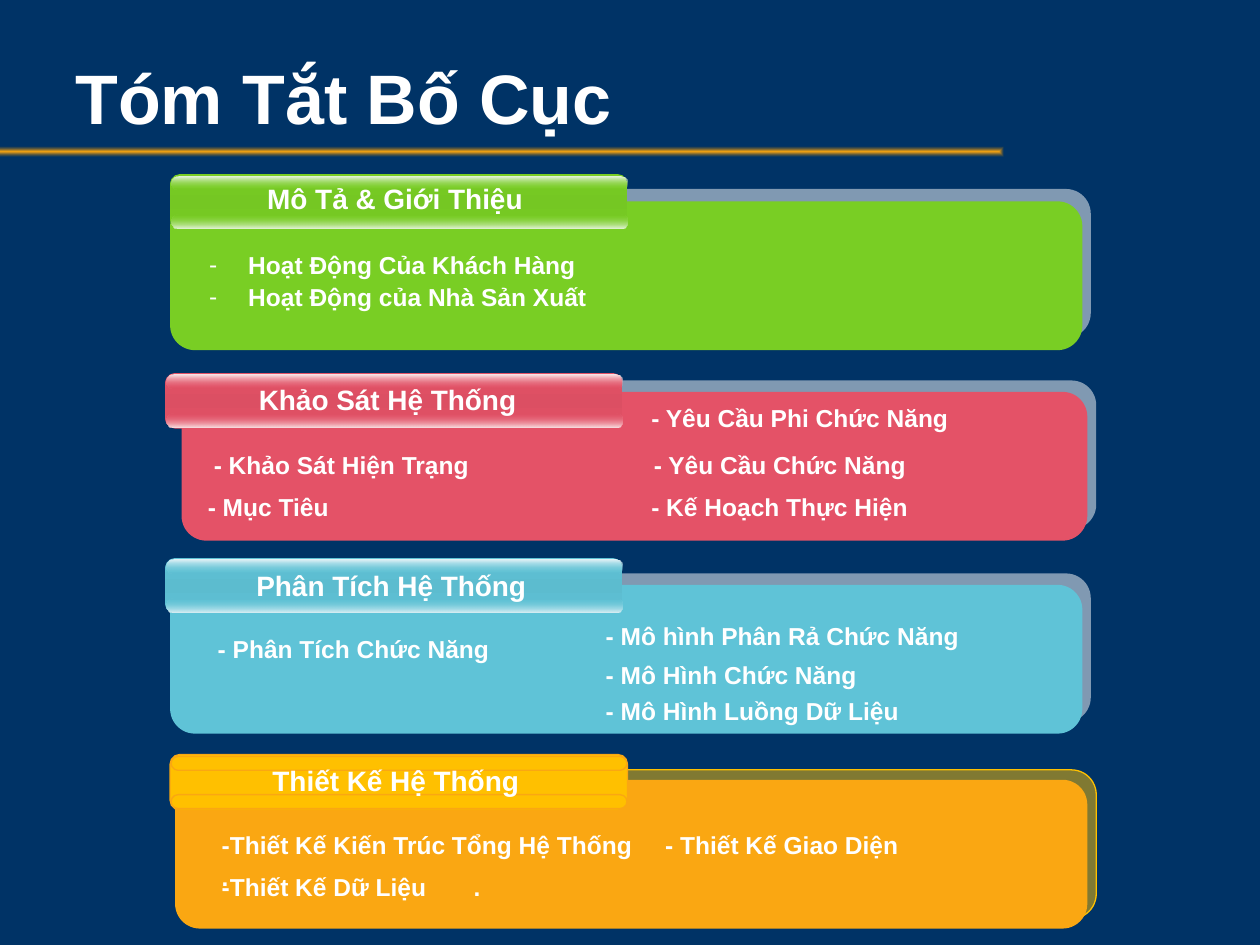
from pptx import Presentation
from pptx.dml.color import RGBColor
from pptx.enum.shapes import MSO_SHAPE
from pptx.enum.text import MSO_ANCHOR, MSO_AUTO_SIZE, PP_ALIGN
from pptx.oxml import parse_xml
from pptx.oxml.ns import nsdecls, qn
from pptx.util import Cm, Pt

WHITE = "FFFFFF"
PANEL_HEIGHT = 3
SHADOW_WIDTH = 18.26
ITEM_HEIGHT = 0.91
HEADING_FORMAT = {"alignment": PP_ALIGN.CENTER, "space_before": Pt(8)}
ITEM_FORMAT = {"line_spacing": 1.1, "space_before": Pt(0)}

# Boxes are (left, top, width) in cm; items are (text, left, top, width).
SECTIONS = [
    {
        "heading": ("Mô Tả & Giới Thiệu", 5.02, 3.53, 5.89),
        "color": "79CE24", "middle": "75C723", "shine": ("EAF5E5", "ECF6E8"),
        "shadow": (3.73, 3.81), "panel": (3.43, 4.06, 18.39), "tab": (3.43, 3.51),
        "items": [],
    },
    {
        "heading": ("Khảo Sát Hệ Thống", 4.93, 7.59, 5.77),
        "color": "E45267", "middle": "DC4F63", "shine": ("FBEEEF", "FAEAEB"),
        "shadow": (3.84, 7.67), "panel": (3.66, 7.9, 18.26), "tab": (3.33, 7.52),
        "items": [
            ("- Khảo Sát Hiện Trạng", 4.06, 8.89, 5.89),
            ("- Mục Tiêu", 3.94, 9.73, 5.89),
            ("- Yêu Cầu Phi Chức Năng", 12.88, 7.95, 8.48),
            ("- Yêu Cầu Chức Năng", 12.93, 8.89, 8.46),
            ("- Kế Hoạch Thực Hiện", 12.88, 9.73, 7.39),
        ],
    },
    {
        "heading": ("Phân Tích Hệ Thống", 4.88, 11.33, 6.02),
        "color": "5FC3D7", "middle": "5CBCCF", "shine": ("EBF5F8", "E4F2F6"),
        "shadow": (3.73, 11.56), "panel": (3.43, 11.79, 18.39), "tab": (3.33, 11.25),
        "items": [
            ("- Phân Tích Chức Năng", 4.14, 12.6, 6.22),
            ("- Mô hình Phân Rả Chức Năng", 11.96, 12.34, 9.86),
            ("- Mô Hình Chức Năng", 11.96, 13.13, 6.22),
            ("- Mô Hình Luồng Dữ Liệu", 11.96, 13.84, 7.52),
        ],
    },
    {
        "heading": ("Thiết Kế Hệ Thống", 5.21, 15.27, 5.54),
        "color": "FAA712", "flat_tab": "FFC000",
        "shadow": (3.84, 15.52), "panel": (3.53, 15.72, 18.39), "tab": (3.43, 15.21),
        "items": [
            ("-Thiết Kế Kiến Trúc Tổng Hệ Thống\t.", 4.22, 16.54, 9.12),
            ("-Thiết Kế Dữ Liệu\t.", 4.22, 17.4, 9.12),
            ("- Thiết Kế Giao Diện", 13.16, 16.54, 9.12),
        ],
    },
]


def color(value):
    return RGBColor.from_string(value)


def apply_format(target, values):
    for name, value in values.items():
        setattr(target, name, value)


def place(shape, left, top, width, height):
    apply_format(shape, {"left": Cm(left), "top": Cm(top),
                         "width": Cm(width), "height": Cm(height)})


def add_block(slide, left, top, width, height, fill, kind=MSO_SHAPE.ROUNDED_RECTANGLE,
              corner=None, outline=None):
    shape = slide.shapes.add_shape(kind, Cm(left), Cm(top), Cm(width), Cm(height))
    shape.shadow.inherit = False
    shape.fill.solid()
    shape.fill.fore_color.rgb = color(fill)
    if corner is not None:
        shape.adjustments[0] = corner
    if outline:
        shape.line.color.rgb = color(outline)
        shape.line.width = Pt(0.75)
    else:
        shape.line.fill.background()
    return shape


def set_opacity(shape, percent):
    tint = shape.element.spPr.find(qn("a:solidFill")).find(qn("a:srgbClr"))
    tint.append(parse_xml(f'<a:alpha {nsdecls("a")} val="{percent * 1000}"/>'))


def set_gradient(shape, stops, from_centre=False):
    """Apply (position, colour, opacity) stops, downwards or from the centre."""
    stop_xml = "".join(
        f'<a:gs pos="{position * 1000}"><a:srgbClr val="{value}">'
        f'<a:alpha val="{opacity * 1000}"/></a:srgbClr></a:gs>'
        for position, value, opacity in stops)
    direction = '<a:lin ang="5400000" scaled="0"/>'
    if from_centre:
        direction = ('<a:path path="shape"><a:fillToRect l="50000" t="50000" '
                     'r="50000" b="50000"/></a:path>')
    gradient = parse_xml(f'<a:gradFill {nsdecls("a")} rotWithShape="1">'
                         f'<a:gsLst>{stop_xml}</a:gsLst>{direction}</a:gradFill>')
    properties = shape.element.spPr
    properties.replace(properties.find(qn("a:solidFill")), gradient)


def write_paragraph(paragraph, text, size, values):
    apply_format(paragraph, values)
    run = paragraph.add_run()
    run.text = text
    apply_format(run.font, {"name": "Arial", "size": Pt(size), "bold": True})
    run.font.color.rgb = color(WHITE)


def add_label(slide, text, left, top, width, height, size, values, wrap=True):
    box = slide.shapes.add_textbox(Cm(left), Cm(top), Cm(width), Cm(height))
    apply_format(box.text_frame, {"word_wrap": wrap,
                                  "auto_size": MSO_AUTO_SIZE.SHAPE_TO_FIT_TEXT})
    write_paragraph(box.text_frame.paragraphs[0], text, size, values)


def add_tab(slide, section):
    """Draw the heading plate with a strip along its top and bottom edges."""
    left, top = section["tab"]
    flat = section.get("flat_tab")
    base = section["color"]
    fill, outline = (flat, base) if flat else (base, None)
    plate = add_block(slide, left, top, 9.22, 1.12, fill, corner=0.175, outline=outline)
    upper, lower = [
        add_block(slide, left + 0.02, top + offset, 9.19, 0.28, fill,
                  corner=0.5, outline=outline)
        for offset in (0.04, 0.81)]
    if not flat:
        bright_top, bright_bottom = section["shine"]
        set_gradient(plate, [(0, base, 100), (50, section["middle"], 100), (100, base, 100)])
        set_gradient(upper, [(0, bright_top, 100), (100, base, 0)])
        set_gradient(lower, [(0, base, 0), (100, bright_bottom, 100)])


def add_section(slide, section):
    flat = section.get("flat_tab")
    shadow = add_block(slide, *section["shadow"], SHADOW_WIDTH, PANEL_HEIGHT,
                       flat or WHITE, corner=0.167, outline=flat)
    set_opacity(shadow, 50)
    add_block(slide, *section["panel"], PANEL_HEIGHT, section["color"], corner=0.167)
    add_tab(slide, section)
    add_label(slide, *section["heading"], 0.94, 16, HEADING_FORMAT, wrap=False)
    for item in section["items"]:
        add_label(slide, *item, ITEM_HEIGHT, 14, ITEM_FORMAT)


def fill_title(title, text):
    place(title, 1.27, 0.46, 21.79, 2.97)
    apply_format(title.text_frame, {"vertical_anchor": MSO_ANCHOR.MIDDLE,
                                    "auto_size": MSO_AUTO_SIZE.NONE})
    write_paragraph(title.text_frame.paragraphs[0], text, 40, {"alignment": PP_ALIGN.LEFT})


def fill_dash_list(body, lines):
    place(body, 3.96, 4.85, 16.05, 1.57)
    frame = body.text_frame
    frame.auto_size = MSO_AUTO_SIZE.NONE
    for index, line in enumerate(lines):
        paragraph = frame.add_paragraph() if index else frame.paragraphs[0]
        write_paragraph(paragraph, line, 14, ITEM_FORMAT)
        properties = paragraph._p.get_or_add_pPr()
        properties.set("marL", str(Cm(0.79)))
        properties.set("indent", str(Cm(-0.79)))
        for bullet in ('buFont {} typeface="Arial"', 'buChar {} char="-"'):
            properties.append(parse_xml(f'<a:{bullet.format(nsdecls("a"))}/>'))


def bring_to_front(shape):
    shape.element.getparent().append(shape.element)


def main():
    presentation = Presentation()
    apply_format(presentation, {"slide_width": Cm(25.4), "slide_height": Cm(19.05)})
    slide = presentation.slides.add_slide(presentation.slide_layouts[1])
    slide.background.fill.solid()
    slide.background.fill.fore_color.rgb = color("003366")

    rule = add_block(slide, -0.08, 2.95, 20.32, 0.2, "FAA712", kind=MSO_SHAPE.RECTANGLE)
    set_gradient(rule, [(0, "FAA712", 100), (100, "B3770D", 0)], from_centre=True)
    fill_title(slide.shapes.title, "Tóm Tắt Bố Cục")
    for section in SECTIONS:
        add_section(slide, section)

    dash_list = slide.placeholders[1]
    fill_dash_list(dash_list, ["Hoạt Động Của Khách Hàng", "Hoạt Động của Nhà Sản Xuất"])
    bring_to_front(dash_list)
    presentation.save("out.pptx")


if __name__ == "__main__":
    main()
